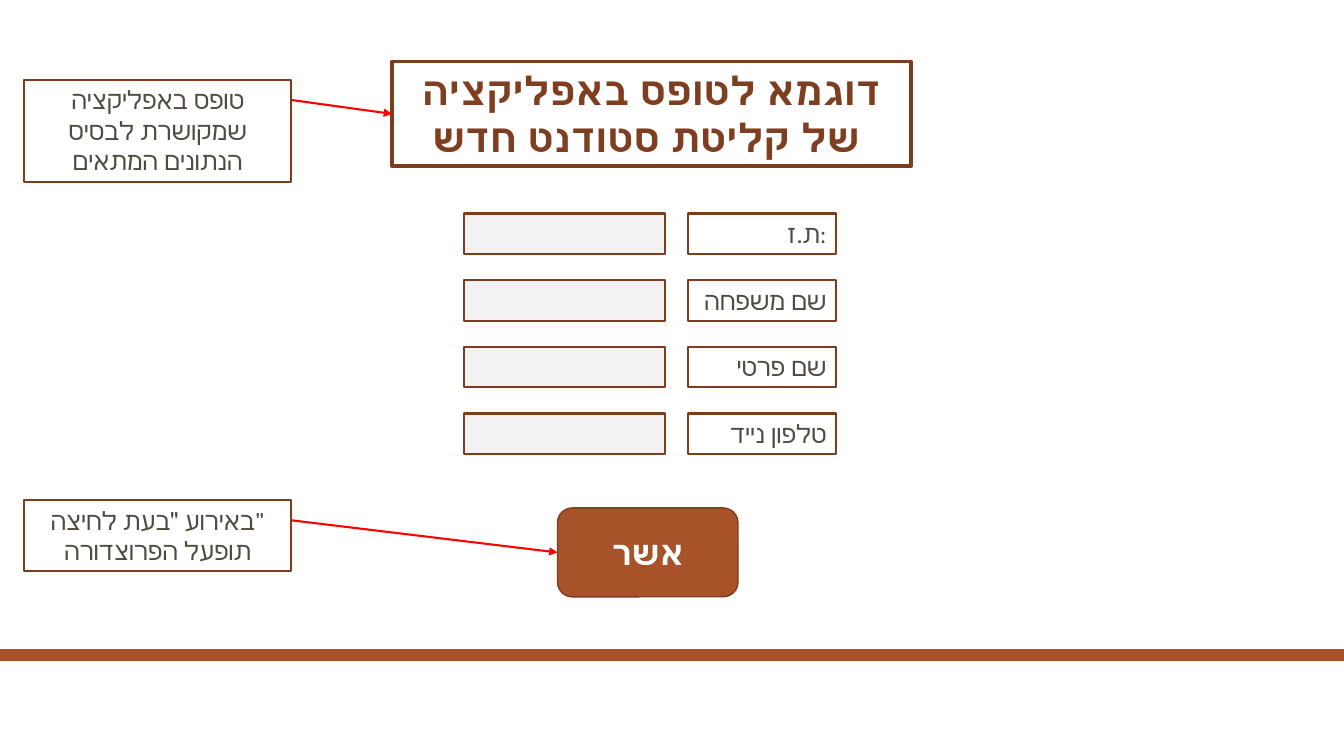
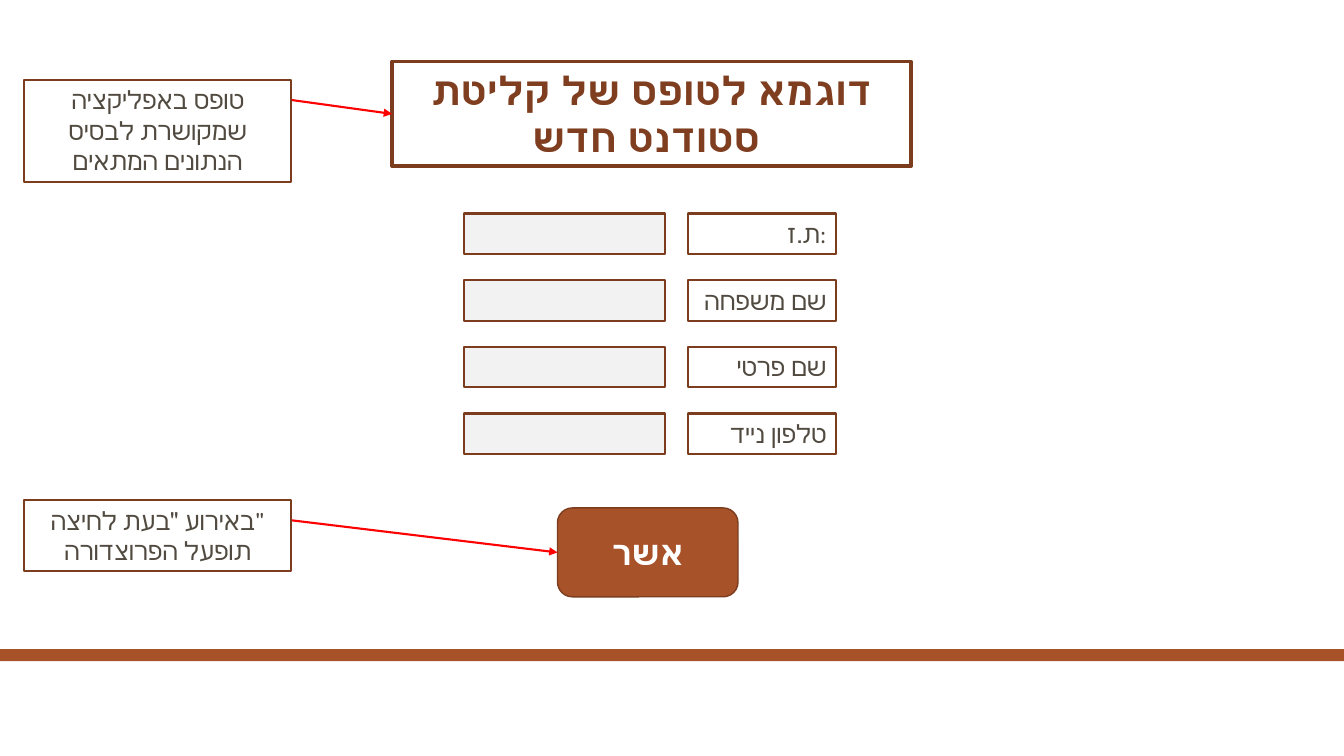
from dataclasses import dataclass

from lxml.etree import SubElement
from pptx import Presentation
from pptx.dml.color import RGBColor
from pptx.enum.shapes import MSO_CONNECTOR, MSO_SHAPE
from pptx.enum.text import MSO_ANCHOR as Anchor, PP_ALIGN as Align
from pptx.oxml.ns import qn
from pptx.util import Cm, Pt


@dataclass(frozen=True)
class Theme:
    font: str = "Cambria"
    rust: str = "A85229"
    outline: str = "7C3D1E"
    title: str = "7E3E1F"
    text: str = "514A40"
    field: str = "F2F2F2"
    arrow: str = "FF0000"
    white: str = "FFFFFF"
    title_size: int = 28
    button_size: int = 24
    text_size: int = 18
    title_line: float = 2.5
    box_line: float = 1.5
    button_line: float = 1


LEFT_SIDE = 1
TITLE_BOX = (9.88, 1.55, 13.08, 2.64)
BUTTON_BOX = (14.05, 12.8, 4.55, 2.24)
ROW_TOP, ROW_STEP, ROW_HEIGHT = 5.38, 1.68, 1.02
LABEL_LEFT, LABEL_WIDTH = 17.35, 3.73
FIELD_LEFT, FIELD_WIDTH = 11.7, 5.05
NOTE_LEFT, NOTE_WIDTH, ARROW_DROP = 0.61, 6.73, 0.51

FIELD_LABELS = ["ת.ז:", "שם משפחה", "שם פרטי", "טלפון נייד"]
FORM_NOTE = ["טופס באפליקציה שמקושרת לבסיס הנתונים המתאים"]
EVENT_NOTE = ['באירוע "בעת לחיצה"', "תופעל הפרוצדורה"]
TITLES = [
    "דוגמא לטופס באפליקציה של קליטת סטודנט חדש ",
    "דוגמא לטופס של קליטת סטודנט חדש ",
]


class FormDeck:
    def __init__(self, theme):
        self.theme = theme
        self.deck = Presentation()
        self.deck.slide_width, self.deck.slide_height = Cm(33.87), Cm(19.05)
        self.slide = None

    def new_slide(self):
        """Start a blank slide that carries the shared band."""
        self.slide = self.deck.slides.add_slide(self.deck.slide_layouts[6])
        self.block((0, 16.36, 33.87, 0.3), self.theme.rust)

    def block(self, box, fill, line_width=None, kind=MSO_SHAPE.RECTANGLE):
        block = self.slide.shapes.add_shape(kind, *map(Cm, box))
        block.shadow.inherit = False
        block.fill.solid()
        block.fill.fore_color.rgb = RGBColor.from_string(fill)
        if line_width:
            self.outline(block, line_width)
        else:
            block.line.fill.background()
        return block

    def outline(self, shape, width):
        shape.line.color.rgb = RGBColor.from_string(self.theme.outline)
        shape.line.width = Pt(width)

    def set_text(self, shape, lines, size, color, align=Align.CENTER, bold=False):
        frame = shape.text_frame
        frame.word_wrap = True
        frame.text = "\n".join(lines)
        for paragraph in frame.paragraphs:
            paragraph.alignment = align
            font = paragraph.font
            font.name, font.size, font.bold = self.theme.font, Pt(size), bold
            font.color.rgb = RGBColor.from_string(color)

    def text_box(self, box, lines, align=Align.CENTER):
        text_box = self.slide.shapes.add_textbox(*map(Cm, box))
        self.outline(text_box, self.theme.box_line)
        self.set_text(text_box, lines, self.theme.text_size, self.theme.text, align)

    def title(self, text):
        title = self.slide.shapes.add_textbox(*map(Cm, TITLE_BOX))
        self.outline(title, self.theme.title_line)
        self.set_text(title, [text], self.theme.title_size, self.theme.title, bold=True)
        return title

    def button(self, text):
        button = self.block(BUTTON_BOX, self.theme.rust, self.theme.button_line,
                            MSO_SHAPE.ROUNDED_RECTANGLE)
        button.text_frame.vertical_anchor = Anchor.MIDDLE
        self.set_text(button, [text], self.theme.button_size, self.theme.white, bold=True)
        return button

    def field_row(self, index, label):
        top = ROW_TOP + index * ROW_STEP
        self.text_box((LABEL_LEFT, top, LABEL_WIDTH, ROW_HEIGHT), [label], Align.RIGHT)
        self.block((FIELD_LEFT, top, FIELD_WIDTH, ROW_HEIGHT),
                   self.theme.field, self.theme.box_line)

    def note(self, top, height, lines, target):
        """Add a note whose arrow points at the left side of target."""
        start = Cm(NOTE_LEFT + NOTE_WIDTH), Cm(top + ARROW_DROP)
        arrow = self.slide.shapes.add_connector(MSO_CONNECTOR.STRAIGHT, *start, *start)
        arrow.end_connect(target, LEFT_SIDE)
        arrow.line.color.rgb = RGBColor.from_string(self.theme.arrow)
        arrow.line.width = Pt(self.theme.box_line)
        properties = arrow._element.spPr
        SubElement(properties.find(qn("a:ln")), qn("a:tailEnd"), type="triangle")
        SubElement(properties, qn("a:effectLst"))
        self.text_box((NOTE_LEFT, top, NOTE_WIDTH, height), lines)

    def form_slide(self, heading):
        self.new_slide()
        title = self.title(heading)
        button = self.button("אשר")
        for index, label in enumerate(FIELD_LABELS):
            self.field_row(index, label)
        self.note(12.6, 1.8, EVENT_NOTE, button)
        self.note(2.01, 2.57, FORM_NOTE, title)


def main():
    form = FormDeck(Theme())
    for heading in TITLES:
        form.form_slide(heading)
    form.deck.save("out.pptx")


if __name__ == "__main__":
    main()
